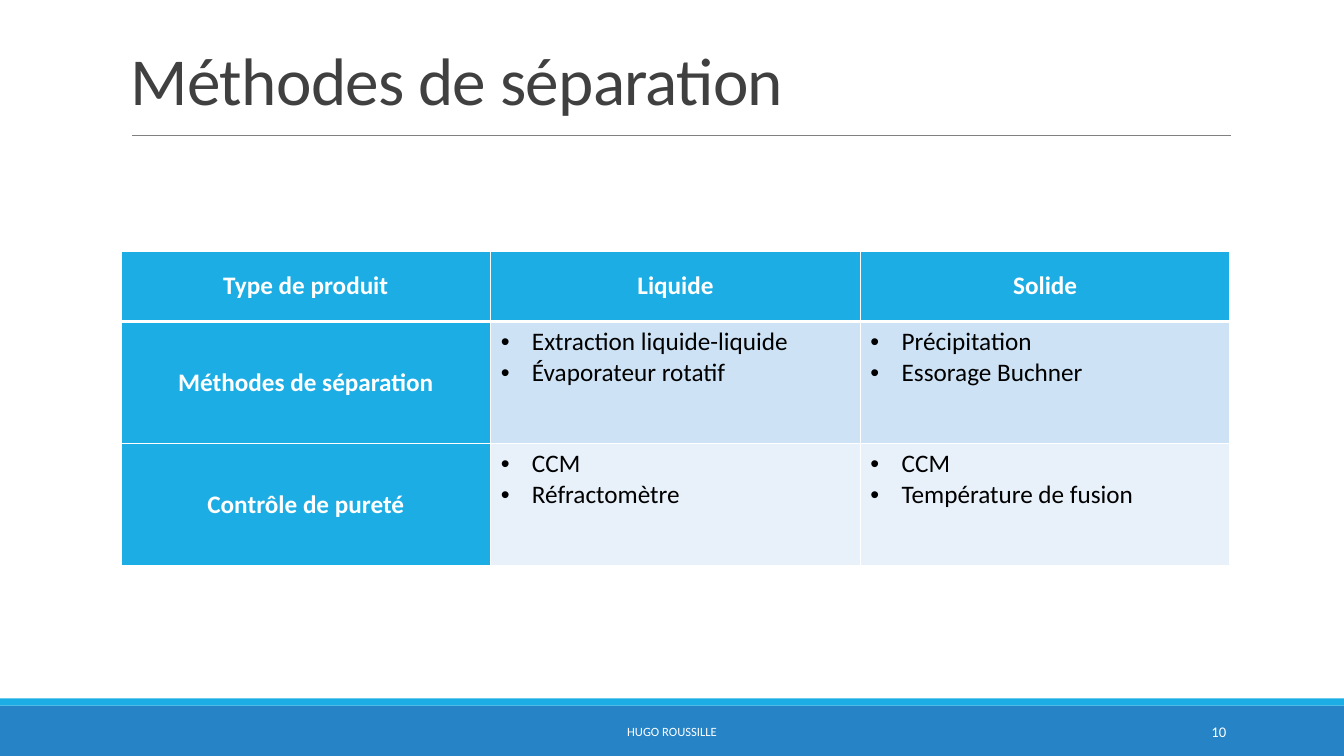
"""Build a slide with a table of separation methods by product type."""
from lxml import etree
from pptx import Presentation
from pptx.dml.color import RGBColor
from pptx.enum.shapes import MSO_CONNECTOR, MSO_SHAPE
from pptx.enum.text import MSO_ANCHOR, PP_ALIGN
from pptx.oxml.ns import qn
from pptx.util import Inches, Pt

RECTANGLE = MSO_SHAPE.RECTANGLE
STRAIGHT = MSO_CONNECTOR.STRAIGHT
TOP, MIDDLE, BOTTOM = MSO_ANCHOR.TOP, MSO_ANCHOR.MIDDLE, MSO_ANCHOR.BOTTOM
LEFT, CENTER, RIGHT = PP_ALIGN.LEFT, PP_ALIGN.CENTER, PP_ALIGN.RIGHT

WHITE = RGBColor(0xFF, 0xFF, 0xFF)
BLACK = RGBColor(0x00, 0x00, 0x00)
CHARCOAL = RGBColor(0x40, 0x40, 0x40)
GRAY = RGBColor(0x80, 0x80, 0x80)
CYAN = RGBColor(0x1C, 0xAD, 0xE4)
BLUE = RGBColor(0x26, 0x83, 0xC6)
BAND_DARK = RGBColor(0xCD, 0xE3, 0xF5)
BAND_LIGHT = RGBColor(0xE8, 0xF1, 0xFA)

ROWS = [
    ["Type de produit", "Liquide", "Solide"],
    ["Méthodes de séparation", "Extraction liquide-liquide\nÉvaporateur rotatif",
     "Précipitation\nEssorage Buchner"],
    ["Contrôle de pureté", "CCM\nRéfractomètre", "CCM\nTempérature de fusion"],
]


class SlideBuilder:
    font_name = "Calibri"

    def __init__(self, page):
        self.page = page

    def bar(self, top, height, color):
        box = self.page.shapes.add_shape(
            RECTANGLE, 0, Inches(top), Inches(13.33), Inches(height))
        box.shadow.inherit = False
        box.fill.solid()
        box.fill.fore_color.rgb = color
        box.line.fill.background()

    def rule(self, left, right, top):
        line = self.page.shapes.add_connector(
            STRAIGHT, Inches(left), Inches(top), Inches(right), Inches(top))
        line.line.color.rgb = GRAY
        line.line.width = Pt(0.5)
        etree.SubElement(line._element.spPr, qn("a:effectLst"))

    def style(self, paragraph, size, color, align, bold=False):
        paragraph.alignment = align
        for span in paragraph.runs:
            span.font.name = self.font_name
            span.font.size = Pt(size)
            span.font.bold = bold
            span.font.color.rgb = color

    def text(self, words, area, size, color, align, anchor=MIDDLE):
        box = self.page.shapes.add_textbox(*map(Inches, area))
        frame = box.text_frame
        frame.word_wrap = True
        frame.vertical_anchor = anchor
        frame.text = words
        self.style(frame.paragraphs[0], size, color, align)
        return frame.paragraphs[0]

    def title(self, words, area):
        paragraph = self.text(words, area, 48, CHARCOAL, LEFT, BOTTOM)
        paragraph.line_spacing = 0.85
        paragraph.runs[0].font._element.set("spc", "-50")

    def bullet(self, paragraph):
        properties = paragraph._p.get_or_add_pPr()
        properties.set("marL", str(Inches(0.31)))
        properties.set("indent", str(Inches(-0.31)))
        etree.SubElement(properties, qn("a:buFont"), typeface="Arial")
        etree.SubElement(properties, qn("a:buChar"), char="•")

    def borders(self, cell, top, bottom):
        properties = cell._tc.get_or_add_tcPr()
        widths = {"a:lnL": 1, "a:lnR": 1, "a:lnT": top, "a:lnB": bottom}
        for position, (tag, width) in enumerate(widths.items()):
            line = etree.Element(qn(tag), w=str(Pt(width)))
            fill = etree.SubElement(line, qn("a:solidFill"))
            etree.SubElement(fill, qn("a:srgbClr"), val=str(WHITE))
            properties.insert(position, line)

    def cell(self, cell, words, heading, color):
        cell.fill.solid()
        cell.fill.fore_color.rgb = color
        cell.vertical_anchor = MIDDLE if heading else TOP
        cell.text_frame.text = words
        for paragraph in cell.text_frame.paragraphs:
            if heading:
                self.style(paragraph, 18, WHITE, CENTER, True)
            else:
                self.bullet(paragraph)
                self.style(paragraph, 18, BLACK, LEFT)

    def table(self, rows, area, heights):
        table = self.page.shapes.add_table(
            len(rows), len(rows[0]), *map(Inches, area)).table
        table.first_col = True
        bands = [CYAN, BAND_DARK, BAND_LIGHT]
        for row, words_in_row in enumerate(rows):
            table.rows[row].height = Inches(heights[row])
            for column, words in enumerate(words_in_row):
                cell = table.cell(row, column)
                heading = row == 0 or column == 0
                self.cell(cell, words, heading, CYAN if heading else bands[row])
                self.borders(cell, 3 if row == 1 else 1, 3 if row == 0 else 1)


def main():
    deck = Presentation()
    deck.slide_width, deck.slide_height = Inches(13.33), Inches(7.5)
    builder = SlideBuilder(deck.slides.add_slide(deck.slide_layouts[6]))
    builder.bar(7, 0.5, BLUE)
    builder.bar(6.93, 0.07, CYAN)
    builder.rule(1.31, 12.21, 1.34)
    builder.title("Méthodes de séparation", (1.2, 0.31, 11, 0.92))
    builder.table(ROWS, (1.2, 2.49, 11, 3.12), [0.7, 1.21, 1.21])
    builder.text("HUGO ROUSSILLE", (4.03, 7.06, 5.27, 0.4), 9, WHITE, CENTER)
    builder.text("10", (10.83, 7.06, 1.43, 0.4), 10.5, WHITE, RIGHT)
    deck.save("out.pptx")


if __name__ == "__main__":
    main()
